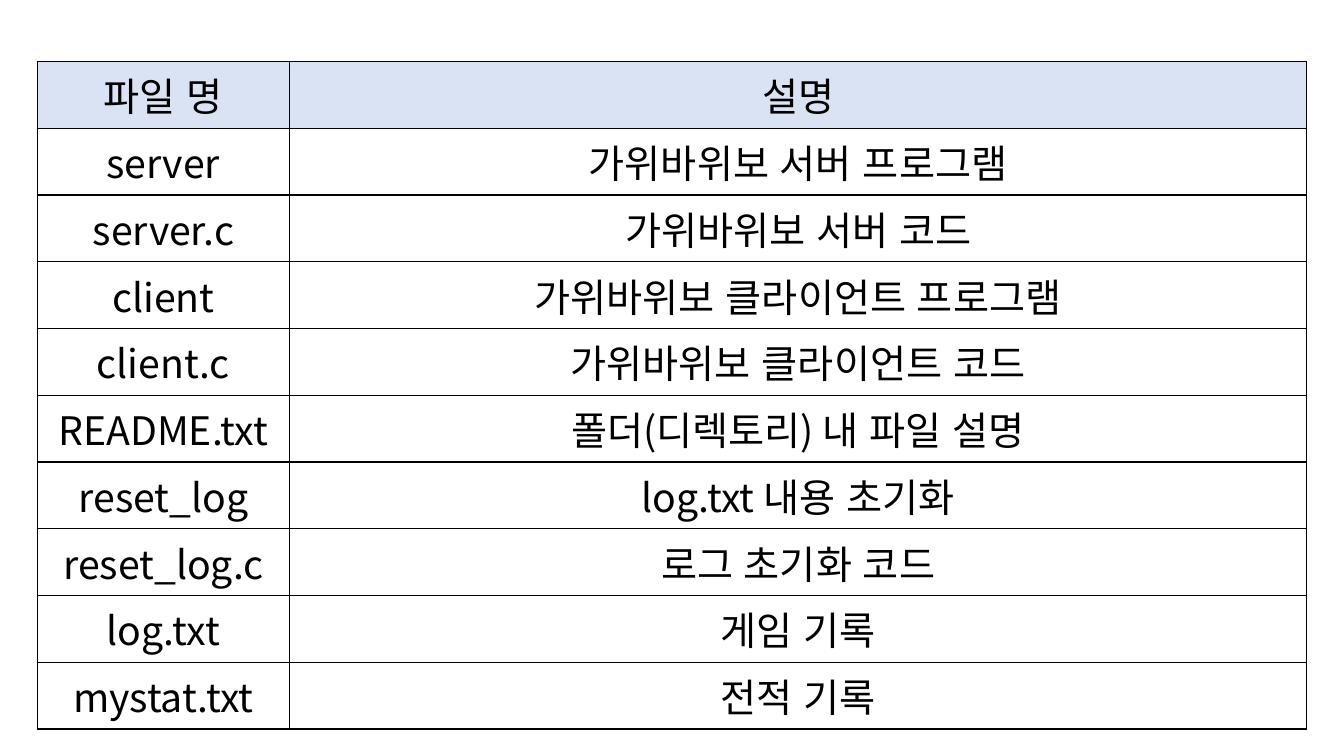
from dataclasses import dataclass

from lxml import etree
from pptx import Presentation
from pptx.dml.color import RGBColor
from pptx.enum import lang, text
from pptx.oxml import ns
from pptx.util import Inches, Pt


@dataclass(frozen=True)
class Theme:
    font: str = "Noto Sans CJK KR"
    size: int = 28
    ink: str = "000000"
    header: str = "DAE3F3"
    border: int = 1


THEME = Theme()

COLUMN_WIDTHS = (2.5, 10.09)
ROW_HEIGHT = 0.63
FILES = (
    ("파일 명", "설명"),
    ("server", "가위바위보 서버 프로그램"),
    ("server.c", "가위바위보 서버 코드"),
    ("client", "가위바위보 클라이언트 프로그램"),
    ("client.c", "가위바위보 클라이언트 코드"),
    ("README.txt", "폴더(디렉토리) 내 파일 설명"),
    ("reset_log", "log.txt 내용 초기화"),
    ("reset_log.c", "로그 초기화 코드"),
    ("log.txt", "게임 기록"),
    ("mystat.txt", "전적 기록"),
)


def write_text(para, content, *, size=THEME.size, color=THEME.ink, align=text.PP_ALIGN.CENTER):
    para.alignment = align
    span = para.add_run()
    span.text = content
    span.font.size = Pt(size)
    span.font.name = THEME.font
    span.font.color.rgb = RGBColor.from_string(color)
    span.font.language_id = lang.MSO_LANGUAGE_ID.KOREAN
    # Hangul takes its typeface from the East Asian font
    etree.SubElement(span.font._element, ns.qn("a:ea"), typeface=THEME.font)


def draw_borders(cell):
    properties = cell._tc.get_or_add_tcPr()
    for side in ("lnL", "lnR", "lnT", "lnB"):
        line = etree.SubElement(properties, ns.qn(f"a:{side}"), w=str(Pt(THEME.border)))
        fill = etree.SubElement(line, ns.qn("a:solidFill"))
        etree.SubElement(fill, ns.qn("a:srgbClr"), val=THEME.ink)


def format_cell(cell, content, *, fill=None):
    cell.vertical_anchor = text.MSO_ANCHOR.MIDDLE
    write_text(cell.text_frame.paragraphs[0], content)
    draw_borders(cell)
    if fill:
        cell.fill.solid()
        cell.fill.fore_color.rgb = RGBColor.from_string(fill)
    else:
        cell.fill.background()


def add_file_table(page, left, top):
    frame = page.shapes.add_table(
        len(FILES), len(COLUMN_WIDTHS), Inches(left), Inches(top),
        Inches(sum(COLUMN_WIDTHS)), Inches(ROW_HEIGHT * len(FILES)))
    table = frame.table
    table.first_row = table.horz_banding = False
    for column, width in zip(table.columns, COLUMN_WIDTHS):
        column.width = Inches(width)
    for row_index, (row, contents) in enumerate(zip(table.rows, FILES)):
        row.height = Inches(ROW_HEIGHT)
        for cell, content in zip(row.cells, contents):
            format_cell(cell, content, fill=THEME.header if row_index == 0 else None)


def main():
    deck = Presentation()
    deck.slide_width, deck.slide_height = Inches(13.33), Inches(7.5)
    page = deck.slides.add_slide(deck.slide_layouts[6])

    # File list with descriptions
    add_file_table(page, 0.37, 0.61)

    deck.save("out.pptx")


if __name__ == "__main__":
    main()
